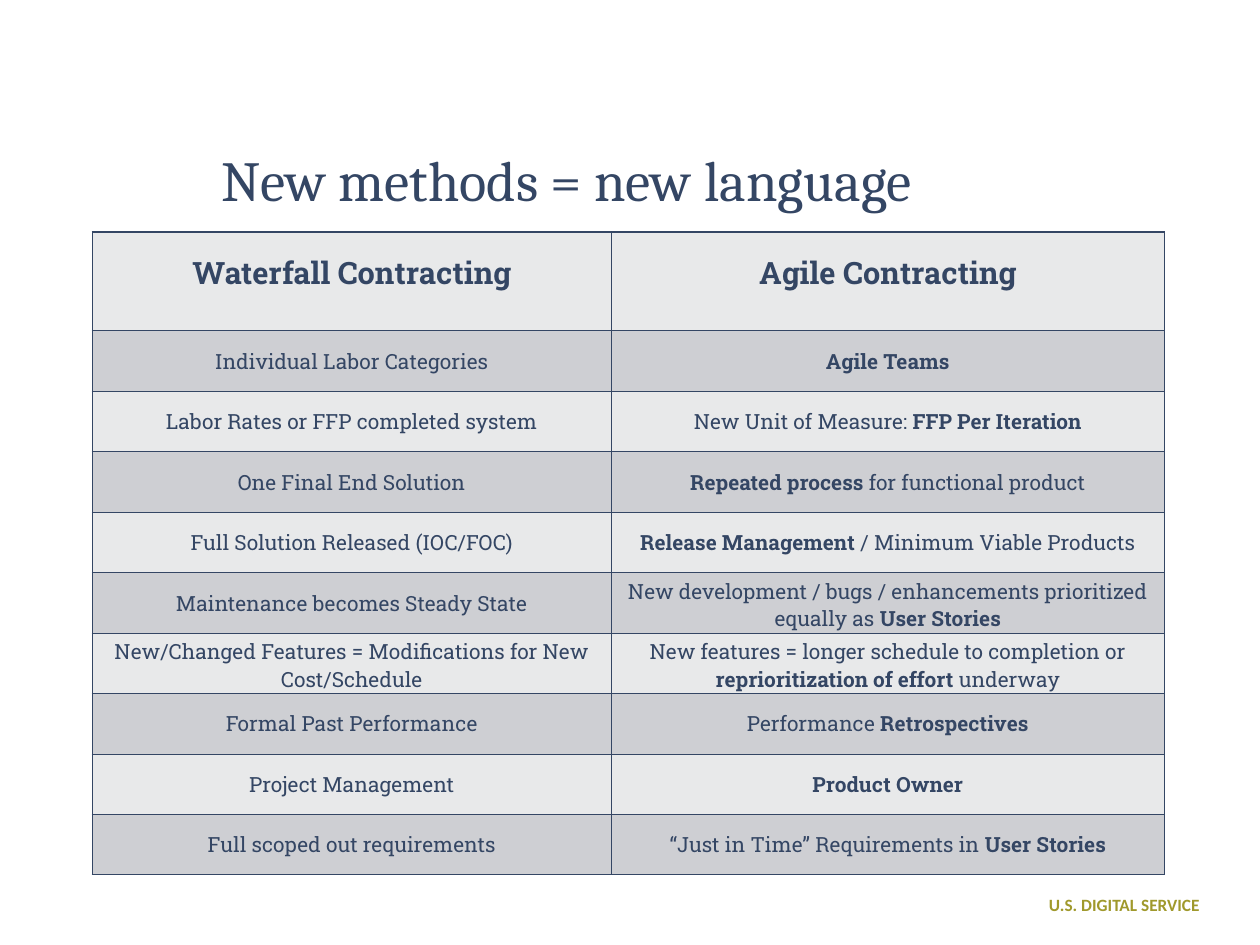
from dataclasses import dataclass

from lxml.etree import SubElement
from pptx import Presentation
from pptx.dml.color import RGBColor
from pptx.enum.text import MSO_ANCHOR as Anchor, MSO_AUTO_SIZE as AutoSize, PP_ALIGN as Align
from pptx.oxml.ns import qn
from pptx.util import Inches, Pt


@dataclass(frozen=True)
class Theme:
    ink: str = "344664"
    accent: str = "A0992C"
    bands: tuple = ("E8E9EA", "CECFD3")
    title_font: str = "Cambria"
    table_font: str = "Roboto Slab"
    footer_font: str = "Calibri"
    title_size: int = 46
    header_size: int = 25
    cell_size: int = 17
    footer_size: int = 14
    border: int = 1


# Asterisks enclose the bold words
HEADINGS = ("*Waterfall Contracting*", "*Agile Contracting*")
COMPARISONS = (
    ("Individual Labor Categories", "*Agile Teams*"),
    ("Labor Rates or FFP completed system", "New Unit of Measure: *FFP Per Iteration*"),
    ("One Final End Solution", "*Repeated process* for functional product"),
    ("Full Solution Released (IOC/FOC)", "*Release Management* / Minimum Viable Products"),
    ("Maintenance becomes Steady State",
     "New development / bugs / enhancements prioritized equally as *User Stories*"),
    ("New/Changed Features = Modifications for New Cost/Schedule",
     "New features = longer schedule to completion or *reprioritization of effort* underway"),
    ("Formal Past Performance", "Performance *Retrospectives*"),
    ("Project Management", "*Product Owner*"),
    ("Full scoped out requirements", "“Just in Time” Requirements in *User Stories*"),
)


class SlideBuilder:
    """Places elements by percentages of the slide's width and height."""

    def __init__(self, deck, theme):
        self.deck = deck
        self.theme = theme
        self.page = deck.slides.add_slide(deck.slide_layouts[5])

    def across(self, percent):
        return round(self.deck.slide_width * percent / 100)

    def down(self, percent):
        return round(self.deck.slide_height * percent / 100)

    def area(self, left, top, width, height):
        return self.across(left), self.down(top), self.across(width), self.down(height)

    def set_font(self, font, name, size, color, bold=False):
        font.name = name
        font.size = Pt(size)
        font.bold = bold
        font.color.rgb = RGBColor.from_string(color)

    def set_margins(self, frame, margin):
        frame.margin_left = frame.margin_right = Inches(margin)
        frame.margin_top = frame.margin_bottom = Inches(margin)

    def title(self, text, area, indent):
        box = self.page.shapes.title
        box.left, box.top, box.width, box.height = self.area(*area)
        frame = box.text_frame
        frame.auto_size = AutoSize.NONE
        frame.vertical_anchor = Anchor.TOP
        self.set_margins(frame, 0.05)
        frame.margin_left = self.across(indent)
        para = frame.paragraphs[0]
        para.text = text
        para.alignment = Align.LEFT
        self.set_font(para.font, self.theme.title_font, self.theme.title_size, self.theme.ink)

    def footer(self, text, area):
        frame = self.page.shapes.add_textbox(*self.area(*area)).text_frame
        frame.word_wrap = True
        frame.vertical_anchor = Anchor.MIDDLE
        self.set_margins(frame, 0.06)
        para = frame.paragraphs[0]
        para.text = text
        para.alignment = Align.RIGHT
        self.set_font(para.font, self.theme.footer_font, self.theme.footer_size,
                      self.theme.accent, bold=True)

    def table(self, rows, left, top, columns, header_height, row_height):
        heights = [header_height] + [row_height] * (len(rows) - 1)
        area = self.area(left, top, sum(columns), sum(heights))
        table = self.page.shapes.add_table(len(rows), len(columns), *area).table
        table.first_row = table.horz_banding = False
        for column, width in zip(table.columns, columns):
            column.width = self.across(width)
        for index, (row, height, texts) in enumerate(zip(table.rows, heights, rows)):
            row.height = self.down(height)
            for cell, text in zip(row.cells, texts):
                self.cell(cell, text, self.theme.bands[index % 2], is_header=index == 0)

    def cell(self, cell, text, fill, is_header):
        self.borders(cell)
        cell.fill.solid()
        cell.fill.fore_color.rgb = RGBColor.from_string(fill)
        cell.vertical_anchor = Anchor.TOP if is_header else Anchor.MIDDLE
        para = cell.text_frame.paragraphs[0]
        para.alignment = Align.CENTER
        if is_header:
            cell.margin_left = cell.margin_right = Inches(0.05)
            cell.margin_top = cell.margin_bottom = 0
            para.line_spacing = 1.5
        size = self.theme.header_size if is_header else self.theme.cell_size
        for index, words in enumerate(text.split("*")):
            if words:
                span = para.add_run()
                span.text = words
                self.set_font(span.font, self.theme.table_font, size, self.theme.ink,
                              bold=index % 2 == 1)

    def borders(self, cell):
        properties = cell._tc.get_or_add_tcPr()
        for side in ("a:lnL", "a:lnR", "a:lnT", "a:lnB"):
            line = SubElement(properties, qn(side), w=str(Pt(self.theme.border)))
            SubElement(SubElement(line, qn("a:solidFill")), qn("a:srgbClr"), val=self.theme.ink)


def main():
    deck = Presentation()
    deck.slide_width, deck.slide_height = Inches(14.22), Inches(10.67)
    slide = SlideBuilder(deck, Theme())

    # Footer and title
    slide.footer("U.S. DIGITAL SERVICE", (10.27, 93.91, 85.37, 3.56))
    slide.title("New methods = new language", (7.31, 14.9, 92.26, 16.68), indent=10.27)

    # Comparison table
    slide.table((HEADINGS, *COMPARISONS), left=7.31, top=24.55, columns=(41.21, 43.88),
                header_height=10.46, row_height=6.4)

    deck.save("out.pptx")


if __name__ == "__main__":
    main()
